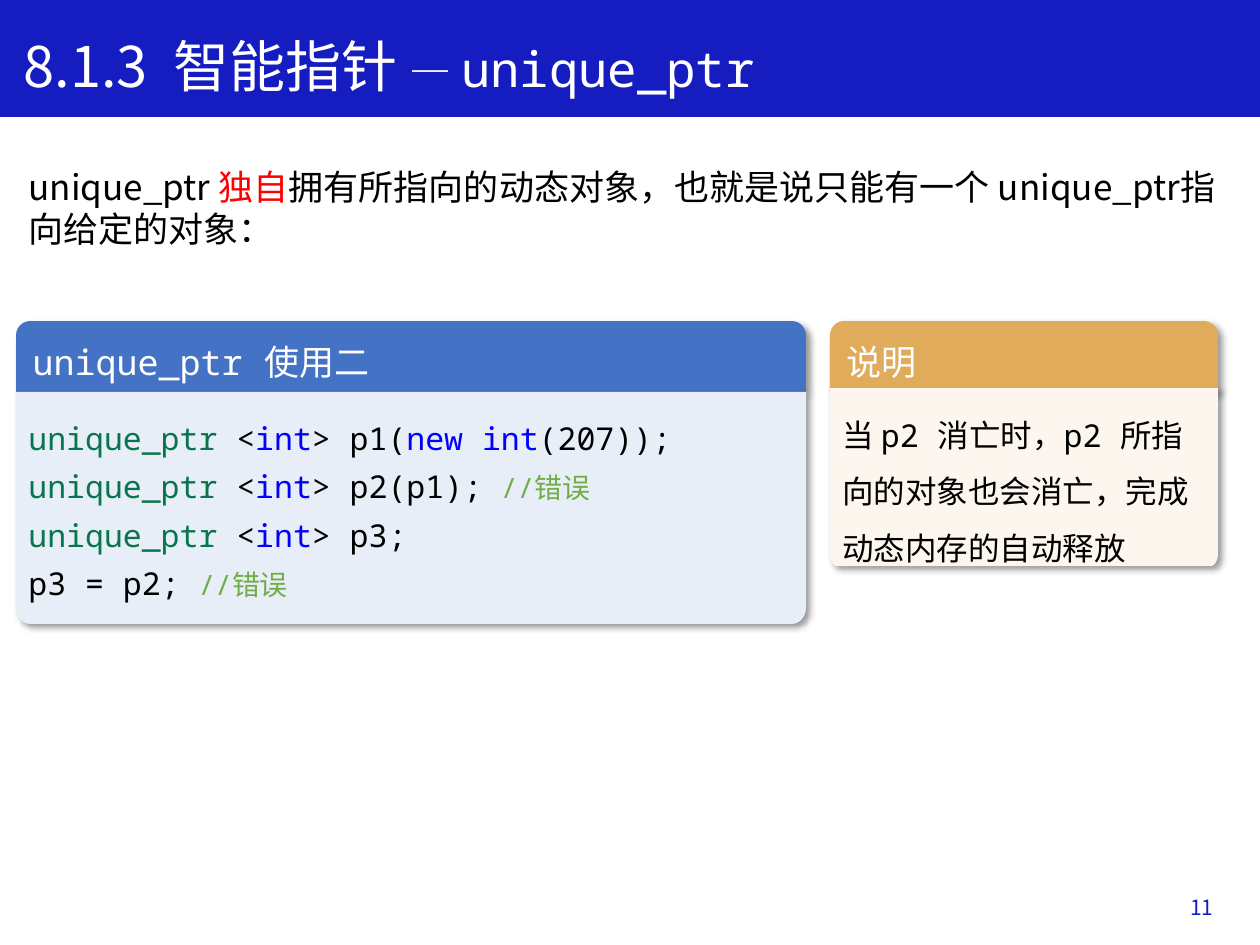
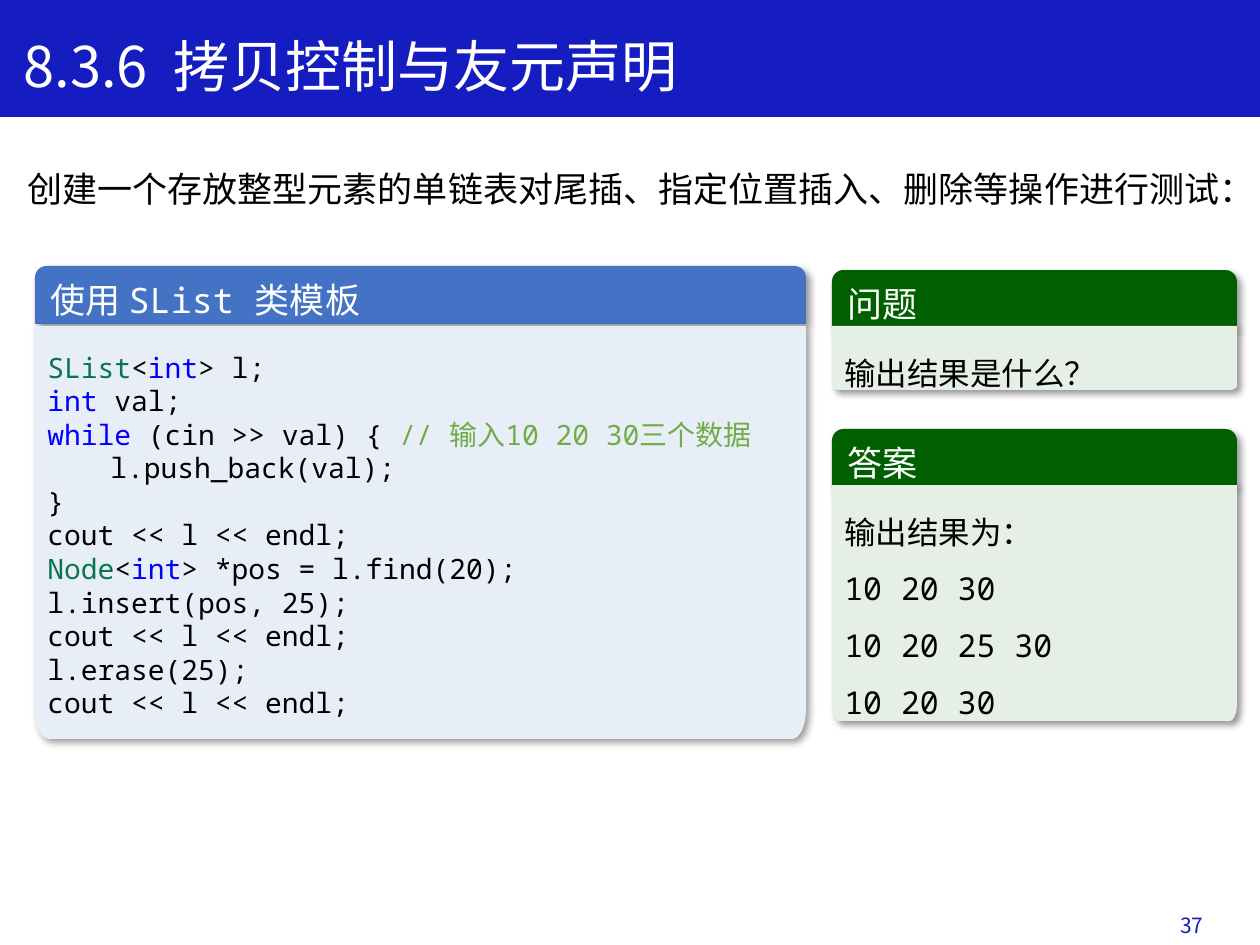
import math
from dataclasses import dataclass

from lxml import etree
from pptx import Presentation
from pptx.dml.color import RGBColor
from pptx.enum.shapes import MSO_SHAPE
from pptx.enum.text import MSO_ANCHOR, PP_ALIGN
from pptx.oxml.ns import qn
from pptx.util import Emu, Inches, Pt

RECTANGLE = MSO_SHAPE.RECTANGLE
ROUND_TOP = MSO_SHAPE.ROUND_2_SAME_RECTANGLE
TOP, MIDDLE = MSO_ANCHOR.TOP, MSO_ANCHOR.MIDDLE
LEFT, RIGHT = PP_ALIGN.LEFT, PP_ALIGN.RIGHT
PX_PER_INCH = 126
BLANK_LAYOUT = 6


@dataclass(frozen=True)
class Theme:
    sans: str = "Noto Sans CJK SC"
    mono: str = "Noto Sans Mono"
    navy: str = "151DC1"
    white: str = "FFFFFF"
    black: str = "000000"
    red: str = "FF0000"
    type_green: str = "08764C"
    keyword_blue: str = "0000FF"
    comment_green: str = "70AD47"
    blue_panel: tuple = ("4472C4", "E8EEF8")
    orange_panel: tuple = ("E0AB5B", "FCF6EE")
    green_panel: tuple = ("006000", "E5EFE5")
    title_size: int = 32
    dash_size: int = 24
    title_code_size: int = 28
    text_size: int = 20
    body_size: int = 18
    small_size: int = 16
    number_size: int = 12
    line_height: float = 1.2
    baseline_drop: float = 0.08


THEME = Theme()


@dataclass(frozen=True)
class Style:
    """How a block of text looks; single runs may override parts of it."""
    size: int
    font: str = THEME.sans
    color: str = THEME.black
    align: int = LEFT
    anchor: int = TOP
    spacing: float = 1
    space_before: int = 0


TITLE = Style(THEME.title_size, color=THEME.white)
INTRO = Style(THEME.text_size)
NUMBER = Style(THEME.number_size, color=THEME.navy, align=RIGHT, anchor=MIDDLE)
HEADING = Style(THEME.text_size, color=THEME.white, anchor=MIDDLE)
CODE_HEADING = Style(THEME.text_size, THEME.mono, THEME.white, anchor=MIDDLE)
NOTE = Style(THEME.body_size, THEME.mono, spacing=1.5)
CODE = Style(THEME.body_size, THEME.mono, anchor=MIDDLE, space_before=6)
DENSE_CODE = Style(THEME.small_size, THEME.mono, anchor=MIDDLE)


def px(value):
    return Emu(round(value * Inches(1) / PX_PER_INCH))


def type_name(text):
    return text, {"color": THEME.type_green}


def keyword(text):
    return text, {"color": THEME.keyword_blue}


def comment(text):
    return text, {"color": THEME.comment_green, "size": THEME.small_size}


def format_run(run, style, size=None, font=None, color=None):
    run.font.size = Pt(size or style.size)
    run.font.name = font or style.font
    run.font.color.rgb = RGBColor.from_string(color or style.color)
    east_asian = etree.SubElement(run.font._element, qn("a:ea"))
    east_asian.set("typeface", THEME.sans)


def add_tab_stop(paragraph):
    tab_list = etree.SubElement(paragraph._p.get_or_add_pPr(), qn("a:tabLst"))
    etree.SubElement(tab_list, qn("a:tab"), pos=str(Inches(0.5)), algn="l")


def write(shape, lines, style):
    """Fill a shape; a line is a string or a list of strings and (text, overrides)."""
    frame = shape.text_frame
    frame.word_wrap = True
    frame.vertical_anchor = style.anchor
    drop = Pt(THEME.baseline_drop * style.size)
    frame.margin_left = frame.margin_right = Inches(0.1)
    frame.margin_top = Inches(0.05) + drop
    frame.margin_bottom = Inches(0.05) - drop
    for index, line in enumerate(lines):
        paragraph = frame.add_paragraph() if index else frame.paragraphs[0]
        paragraph.alignment = style.align
        paragraph.line_spacing = Pt(style.size * THEME.line_height * style.spacing)
        paragraph.space_before = Pt(style.space_before)
        for part in [line] if isinstance(line, str) else line:
            text, overrides = (part, {}) if isinstance(part, str) else part
            run = paragraph.add_run()
            run.text = text
            format_run(run, style, **overrides)
            if text.startswith("\t"):
                add_tab_stop(paragraph)


def add_text(slide, box, lines, style):
    write(slide.shapes.add_textbox(*map(px, box)), lines, style)


def paint(shape, color):
    shape.shadow.inherit = False
    shape.fill.solid()
    shape.fill.fore_color.rgb = RGBColor.from_string(color)
    shape.line.fill.background()


def add_soft_shadow(shape):
    effects = shape._element.spPr.find(qn("a:effectLst"))
    shadow = etree.SubElement(
        effects, qn("a:outerShdw"), blurRad=str(Pt(4)), dist=str(Pt(3)),
        dir="2700000", algn="tl", rotWithShape="0")
    color = etree.SubElement(shadow, qn("a:srgbClr"), val=THEME.black)
    etree.SubElement(color, qn("a:alpha"), val="40000")


def add_round_bottom(slide, left, top, width, height):
    """Draw a box whose lower corners are elliptical, in proportion to its size."""
    radius_x, radius_y = width * 0.018, height * 0.07
    right, bottom = left + width, top + height
    angles = [math.radians(15 * step) for step in range(7)]
    arc = [(radius_x * (1 - math.cos(angle)), radius_y * (1 - math.sin(angle)))
           for angle in angles]
    points = [(right, top)]
    points += [(right - x, bottom - y) for x, y in arc]
    points += [(left + x, bottom - y) for x, y in reversed(arc)]
    builder = slide.shapes.build_freeform(px(left), px(top))
    builder.add_line_segments([(px(x), px(y)) for x, y in points], close=True)
    return builder.convert_to_shape()


def add_panel(slide, box, heading_height, body_top, colors, heading, lines,
              heading_style, body_style):
    left, top, width, height = box
    head = slide.shapes.add_shape(
        ROUND_TOP, *map(px, (left, top, width, heading_height)))
    head.adjustments[0] = 0.2
    body = add_round_bottom(slide, left, body_top, width, top + height - body_top)
    for shape, color in zip((head, body), colors):
        paint(shape, color)
        add_soft_shadow(shape)
    write(head, [heading], heading_style)
    write(body, lines, body_style)


def add_base_slide(presentation, title, intro, intro_box, number, number_box):
    slide = presentation.slides.add_slide(presentation.slide_layouts[BLANK_LAYOUT])
    band = slide.shapes.add_shape(RECTANGLE, 0, 0, px(1260), px(116))
    paint(band, THEME.navy)
    band.line.color.rgb = RGBColor.from_string(THEME.navy)
    band.line.width = Pt(1)
    add_text(slide, number_box, [number], NUMBER)
    add_text(slide, (11, 21, 1173, 81), [title], TITLE)
    add_text(slide, intro_box, [intro], INTRO)
    return slide


def build_unique_ptr_slide(presentation):
    title = ["8.1.3  智能指针 ", ("— ", {"size": THEME.dash_size}),
             ("unique_ptr", {"size": THEME.title_code_size, "font": THEME.mono})]
    intro = ["unique_ptr ", ("独自", {"color": THEME.red}),
             "拥有所指向的动态对象，也就是说只能有一个 unique_ptr指向给定的对象："]
    slide = add_base_slide(presentation, title, intro, (16, 156, 1244, 97),
                           "11", (942, 880, 284, 50))
    add_panel(slide, (830, 321, 388, 245), 71, 388, THEME.orange_panel, "说明",
              ["当 p2 消亡时，p2 所指向的对象也会消亡，完成动态内存的自动释放"],
              HEADING, NOTE)
    declaration = [type_name("unique_ptr "), "<", keyword("int")]
    code = [
        declaration + ["> p1(", keyword("new int"), "(207));"],
        declaration + ["> p2(p1); ", comment("//错误")],
        declaration + ["> p3;"],
        ["p3 = p2; ", comment("//错误")],
    ]
    add_panel(slide, (16, 321, 790, 303), 71, 392, THEME.blue_panel,
              "unique_ptr 使用二", code, CODE_HEADING, CODE)


def build_list_test_slide(presentation):
    intro = "创建一个存放整型元素的单链表对尾插、指定位置插入、删除等操作进行测试："
    slide = add_base_slide(presentation, "8.3.6  拷贝控制与友元声明", intro,
                           (15, 158, 1231, 55), "37", (932, 898, 284, 50))
    print_list = "cout << l << endl;"
    code = [
        [type_name("SList"), "<", keyword("int"), "> l;"],
        [keyword("int "), "val;"],
        [keyword("while"), " (cin >> val) { ", comment("// 输入10 20 30三个数据")],
        "\tl.push_back(val);",
        "}",
        print_list,
        [type_name("Node"), "<", keyword("int"), "> *pos = l.find(20);"],
        "l.insert(pos, 25);",
        print_list,
        "l.erase(25);",
        print_list,
    ]
    add_panel(slide, (35, 266, 771, 473), 58, 326, THEME.blue_panel,
              "使用 SList 类模板", code, CODE_HEADING, DENSE_CODE)
    answers = ["输出结果为：", "10 20 30", "10 20 25 30", "10 20 30"]
    for top, height, heading, lines in (
            (270, 120, "问题", ["输出结果是什么？"]),
            (429, 292, "答案", answers)):
        add_panel(slide, (832, top, 405, height), 58, top + 56, THEME.green_panel,
                  heading, lines, HEADING, NOTE)


def main():
    presentation = Presentation()
    presentation.slide_width, presentation.slide_height = px(1260), px(945)
    build_unique_ptr_slide(presentation)
    build_list_test_slide(presentation)
    presentation.save("out.pptx")


if __name__ == "__main__":
    main()
